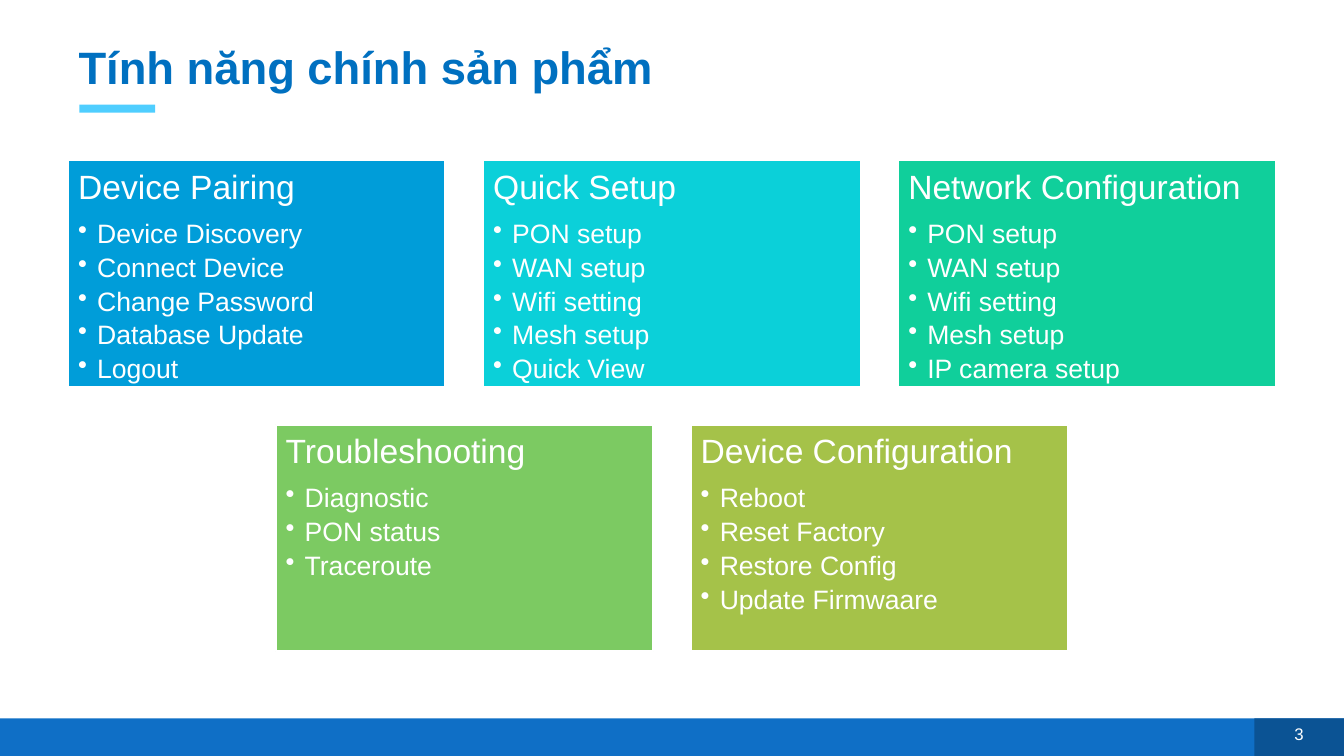
from lxml import etree
from pptx import Presentation
from pptx.dml.color import RGBColor
from pptx.enum.shapes import MSO_SHAPE
from pptx.enum.text import MSO_ANCHOR, PP_ALIGN
from pptx.oxml.ns import qn
from pptx.util import Cm, Pt

RECTANGLE = MSO_SHAPE.RECTANGLE
TOP = MSO_ANCHOR.TOP
LEFT, CENTER = PP_ALIGN.LEFT, PP_ALIGN.CENTER

COLORS = {
    "white": "FFFFFF", "title": "0070C0", "accent": "4FCEFF",
    "footer": "0F6FC6", "page": "0B5394",
    "pairing": "009DD9", "setup": "0BD0D9", "network": "10CF9B",
    "trouble": "7CCA62", "device": "A5C249",
}

SLIDE_W, SLIDE_H = 33.87, 19.05
CARD_W, CARD_H, CARD_GAP = 9.51, 5.71, 0.95
CARDS_TOP = 4.04
FOOTER_H, PAGE_W = 0.95, 2.26
FOOTER_TOP = SLIDE_H - FOOTER_H

FEATURE_ROWS = [
    [
        ("pairing", "Device Pairing",
         ["Device Discovery", "Connect Device", "Change Password",
          "Database Update", "Logout"]),
        ("setup", "Quick Setup",
         ["PON setup", "WAN setup", "Wifi setting", "Mesh setup",
          "Quick View"]),
        ("network", "Network Configuration",
         ["PON setup", "WAN setup", "Wifi setting", "Mesh setup",
          "IP camera setup"]),
    ],
    [
        ("trouble", "Troubleshooting",
         ["Diagnostic", "PON status", "Traceroute"]),
        ("device", "Device Configuration",
         ["Reboot", "Reset Factory", "Restore Config",
          "Update Firmwaare"]),
    ],
]


class SlideBuilder:
    font_name = "Arial"
    heading_format = {"line_spacing": 0.9, "space_after": Pt(10)}
    bullet_format = {"level": 1, "line_spacing": 0.9, "space_after": Pt(3.6)}
    bullet_indent = Cm(0.48)

    def __init__(self, slide):
        self.slide = slide

    def color(self, name):
        return RGBColor.from_string(COLORS[name])

    def bar(self, left, top, width, height, fill, outline=None):
        bar = self.slide.shapes.add_shape(
            RECTANGLE, Cm(left), Cm(top), Cm(width), Cm(height))
        bar.shadow.inherit = False
        bar.fill.solid()
        bar.fill.fore_color.rgb = self.color(fill)
        if outline:
            bar.line.color.rgb = self.color(outline)
            bar.line.width = Pt(1.5)
        else:
            bar.line.fill.background()
        return bar

    def frame(self, shape, inset_x, inset_y):
        frame = shape.text_frame
        settings = {
            "word_wrap": True, "vertical_anchor": TOP,
            "margin_left": Cm(inset_x), "margin_right": Cm(inset_x),
            "margin_top": Cm(inset_y), "margin_bottom": Cm(inset_y),
        }
        for name, value in settings.items():
            setattr(frame, name, value)
        return frame

    def set_text(self, paragraph, text, size, color="white", bold=False,
                 align=LEFT, layout=None):
        paragraph.text = text
        for name, value in {"alignment": align, **(layout or {})}.items():
            setattr(paragraph, name, value)
        font_format = {"name": self.font_name, "size": Pt(size), "bold": bold}
        font = paragraph.runs[0].font
        for name, value in font_format.items():
            setattr(font, name, value)
        font.color.rgb = self.color(color)

    def label(self, left, top, width, height, text, size, inset_y, **style):
        box = self.slide.shapes.add_textbox(
            Cm(left), Cm(top), Cm(width), Cm(height))
        frame = self.frame(box, 0.25, inset_y)
        self.set_text(frame.paragraphs[0], text, size, **style)

    def bullet(self, paragraph, text):
        self.set_text(paragraph, text, 19, layout=self.bullet_format)
        properties = paragraph._p.get_or_add_pPr()
        properties.set("marL", str(self.bullet_indent))
        properties.set("indent", str(-self.bullet_indent))
        etree.SubElement(properties, qn("a:buChar")).set("char", "•")

    def card(self, left, top, fill, heading, features):
        card = self.bar(left, top, CARD_W, CARD_H, fill, outline="white")
        frame = self.frame(card, 0.25, 0.25)
        self.set_text(frame.paragraphs[0], heading, 24,
                      layout=self.heading_format)
        for feature in features:
            self.bullet(frame.add_paragraph(), feature)


def main():
    presentation = Presentation()
    presentation.slide_width = Cm(SLIDE_W)
    presentation.slide_height = Cm(SLIDE_H)
    blank = presentation.slide_layouts[6]
    builder = SlideBuilder(presentation.slides.add_slide(blank))

    # Footer with page number
    page_left = SLIDE_W - PAGE_W
    builder.bar(0, FOOTER_TOP, SLIDE_W, FOOTER_H, "footer")
    builder.bar(page_left, FOOTER_TOP, PAGE_W, FOOTER_H, "page")
    builder.label(page_left, FOOTER_TOP, PAGE_W, FOOTER_H, "3", 12, 0.13,
                  align=CENTER)

    # Title and its accent
    builder.bar(2, 2.64, 1.91, 0.2, "accent")
    builder.label(1.73, 0.74, 30.43, 1.6, "Tính năng chính sản phẩm", 32.4,
                  0.25, color="title", bold=True)

    # Feature cards, each row centred on the slide
    for row, features in enumerate(FEATURE_ROWS):
        row_width = len(features) * (CARD_W + CARD_GAP) - CARD_GAP
        row_left = (SLIDE_W - row_width) / 2
        top = CARDS_TOP + row * (CARD_H + CARD_GAP)
        for column, feature in enumerate(features):
            left = row_left + column * (CARD_W + CARD_GAP)
            builder.card(left, top, *feature)

    presentation.save("out.pptx")


if __name__ == "__main__":
    main()
